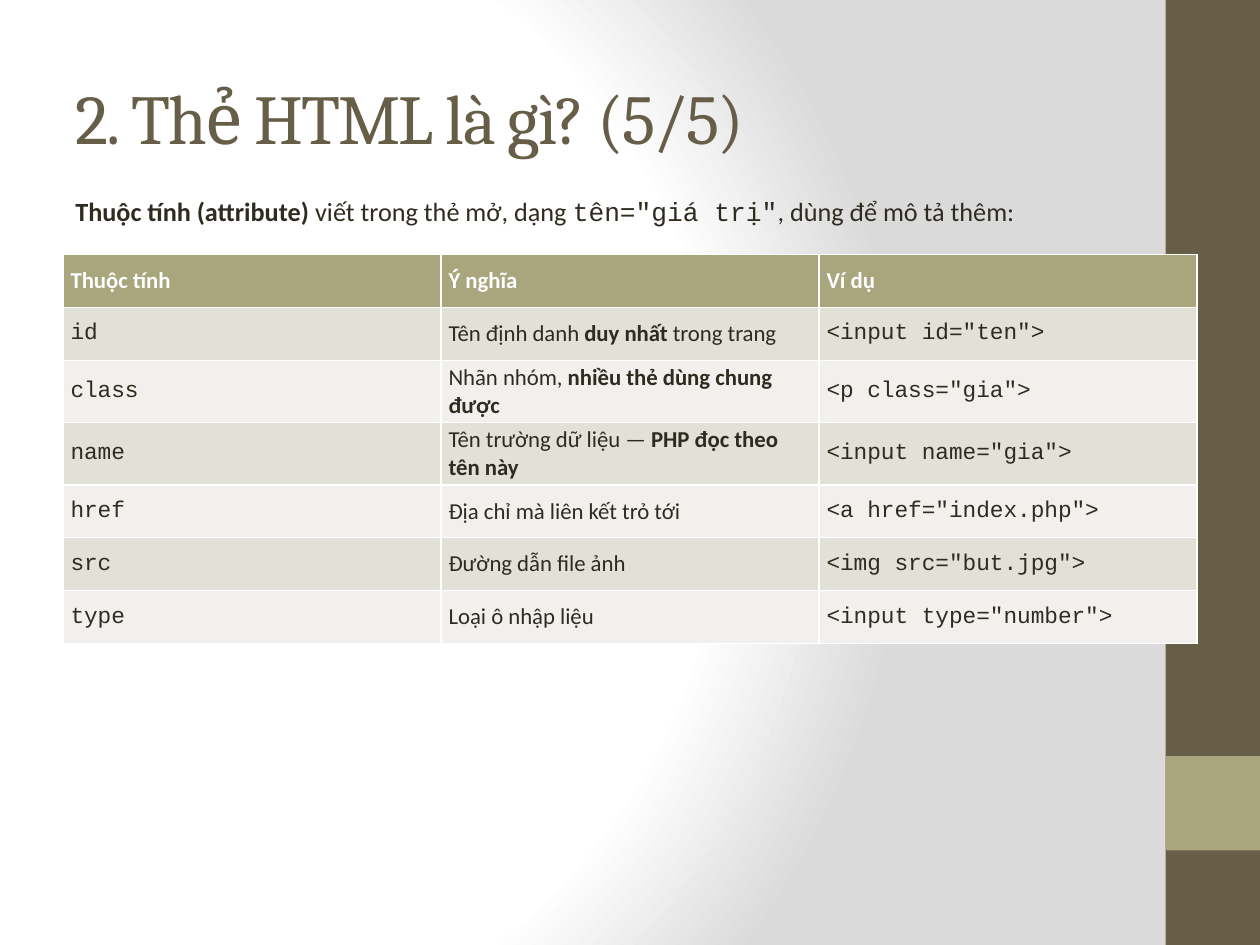
from lxml import etree
from pptx import Presentation
from pptx.dml.color import RGBColor
from pptx.enum.shapes import MSO_SHAPE
from pptx.enum.text import MSO_ANCHOR, MSO_AUTO_SIZE, PP_ALIGN
from pptx.oxml.ns import qn
from pptx.util import Inches, Pt

RECTANGLE = MSO_SHAPE.RECTANGLE
MIDDLE = MSO_ANCHOR.MIDDLE
LEFT = PP_ALIGN.LEFT
NO_FIT, GROW = MSO_AUTO_SIZE.NONE, MSO_AUTO_SIZE.SHAPE_TO_FIT_TEXT

WHITE = RGBColor(0xFF, 0xFF, 0xFF)
GREY = RGBColor(0xDA, 0xDA, 0xDA)
BROWN = RGBColor(0x67, 0x5E, 0x47)
OLIVE = RGBColor(0xA9, 0xA5, 0x7C)
INK = RGBColor(0x2F, 0x2B, 0x20)
BANDS = (RGBColor(0xE2, 0xE1, 0xD7), RGBColor(0xF1, 0xF0, 0xEC))

TITLE_ONLY = 5
COLUMNS, ROWS = 100, 75
SANS, MONO = {"name": "Calibri"}, {"name": "Courier New"}
BOLD = {"name": "Calibri", "bold": True}

HEADER = ("Thuộc tính", "Ý nghĩa", "Ví dụ")
ATTRIBUTES = [
    ("id", [("Tên định danh ", SANS), ("duy nhất", BOLD), (" trong trang", SANS)],
     '<input id="ten">'),
    ("class", [("Nhãn nhóm, ", SANS), ("nhiều thẻ dùng chung được", BOLD)],
     '<p class="gia">'),
    ("name", [("Tên trường dữ liệu — ", SANS), ("PHP đọc theo tên này", BOLD)],
     '<input name="gia">'),
    ("href", [("Địa chỉ mà liên kết trỏ tới", SANS)], '<a href="index.php">'),
    ("src", [("Đường dẫn file ảnh", SANS)], '<img src="but.jpg">'),
    ("type", [("Loại ô nhập liệu", SANS)], '<input type="number">'),
]


def apply(target, values):
    for name, value in values.items():
        setattr(target, name, value)


class SlideBuilder:
    def __init__(self, presentation):
        self.slide = presentation.slides.add_slide(presentation.slide_layouts[TITLE_ONLY])
        self.column = presentation.slide_width / COLUMNS
        self.row = presentation.slide_height / ROWS

    def box(self, left, top, width, height):
        return (round(left * self.column), round(top * self.row),
                round(width * self.column), round(height * self.row))

    def add_runs(self, paragraph, runs, size, color):
        for text, style in runs:
            run = paragraph.add_run()
            run.text = text
            apply(run.font, {"size": Pt(size), "bold": False, **style})
            run.font.color.rgb = color

    def background(self, stops, focus):
        self.slide.background.fill.gradient()
        gradient = self.slide.element.find(".//" + qn("a:gradFill"))
        for child in list(gradient):
            gradient.remove(child)
        stop_list = etree.SubElement(gradient, qn("a:gsLst"))
        for position, color in stops:
            stop = etree.SubElement(stop_list, qn("a:gs"), pos=str(position * 1000))
            etree.SubElement(stop, qn("a:srgbClr"), val=str(color))
        circle = etree.SubElement(gradient, qn("a:path"), {"path": "circle"})
        etree.SubElement(circle, qn("a:fillToRect"),
                         {side: str(share * 1000) for side, share in focus.items()})

    def bar(self, box, color):
        shape = self.slide.shapes.add_shape(RECTANGLE, *self.box(*box))
        shape.shadow.inherit = False
        shape.fill.solid()
        shape.fill.fore_color.rgb = color
        shape.line.fill.background()

    def title(self, box, text):
        shape = self.slide.shapes.title
        apply(shape, dict(zip(("left", "top", "width", "height"), self.box(*box))))
        apply(shape.text_frame, {"vertical_anchor": MIDDLE, "auto_size": NO_FIT})
        paragraph = shape.text_frame.paragraphs[0]
        paragraph.alignment = LEFT
        self.add_runs(paragraph, [(text, {"name": "Cambria"})], 40, BROWN)
        paragraph.runs[0].font._element.set("spc", "-100")

    def text(self, box, runs):
        frame = self.slide.shapes.add_textbox(*self.box(*box)).text_frame
        apply(frame, {"word_wrap": True, "auto_size": GROW})
        self.add_runs(frame.paragraphs[0], runs, 15, INK)

    def cell(self, cell, runs, color, fill):
        apply(cell, {"vertical_anchor": MIDDLE,
                     "margin_left": Inches(0.06), "margin_right": Inches(0.06),
                     "margin_top": Inches(0.03), "margin_bottom": Inches(0.03)})
        cell.fill.solid()
        cell.fill.fore_color.rgb = fill
        self.add_runs(cell.text_frame.paragraphs[0], runs, 13, color)

    def table(self, box, header, records):
        table = self.slide.shapes.add_table(
            len(records) + 1, len(header), *self.box(*box)).table
        for index, label in enumerate(header):
            self.cell(table.cell(0, index), [(label, BOLD)], WHITE, OLIVE)
        for row, (name, meaning, example) in enumerate(records, 1):
            fill = BANDS[(row - 1) % len(BANDS)]
            for index, runs in enumerate(([(name, MONO)], meaning, [(example, MONO)])):
                self.cell(table.cell(row, index), runs, INK, fill)


def main():
    presentation = Presentation()
    presentation.slide_width, presentation.slide_height = Inches(10), Inches(7.5)
    builder = SlideBuilder(presentation)
    builder.background([(0, WHITE), (75, WHITE), (100, GREY)],
                       {"l": 20, "t": 50, "r": 100, "b": 50})
    builder.bar((92.5, 0, 7.5, 75), BROWN)
    builder.bar((92.5, 60, 7.5, 7.5), OLIVE)
    builder.title((5, 3, 83.3, 12.5), "2. Thẻ HTML là gì? (5/5)")
    builder.text((5, 15, 90, 4.5), [
        ("Thuộc tính (attribute)", BOLD), (" viết trong thẻ mở, dạng ", SANS),
        ('tên="giá trị"', MONO), (", dùng để mô tả thêm:", SANS)])
    builder.table((5, 20.2, 90, 29.4), HEADER, ATTRIBUTES)
    presentation.save("out.pptx")


if __name__ == "__main__":
    main()
